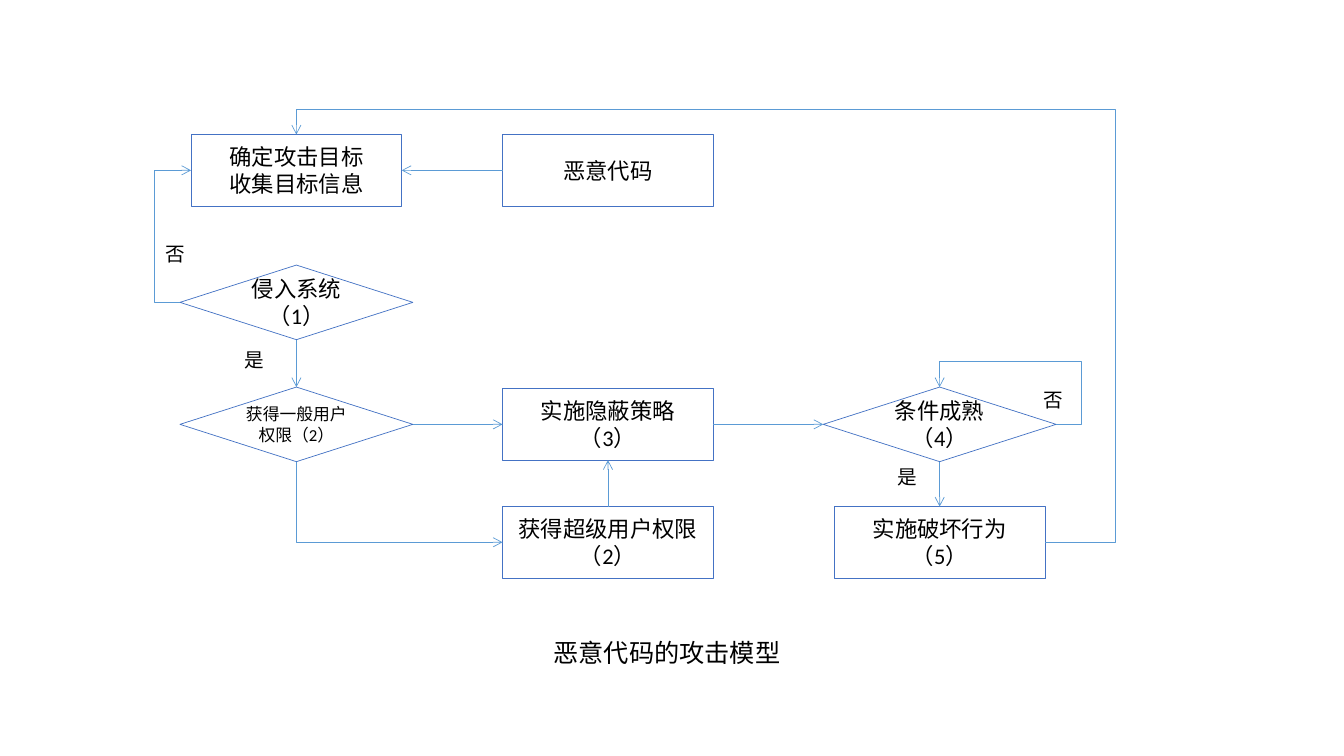
from dataclasses import dataclass

from lxml import etree
from pptx import Presentation
from pptx.dml.color import RGBColor
from pptx.enum.shapes import MSO_CONNECTOR, MSO_SHAPE
from pptx.enum.text import MSO_ANCHOR, MSO_AUTO_SIZE, PP_ALIGN
from pptx.oxml.ns import qn
from pptx.util import Inches, Pt

RECTANGLE, DIAMOND = MSO_SHAPE.RECTANGLE, MSO_SHAPE.DIAMOND
STRAIGHT, ELBOW = MSO_CONNECTOR.STRAIGHT, MSO_CONNECTOR.ELBOW
CENTER, LEFT_ALIGN = PP_ALIGN.CENTER, PP_ALIGN.LEFT
MIDDLE, TOP_ANCHOR = MSO_ANCHOR.MIDDLE, MSO_ANCHOR.TOP
NO_AUTOFIT, FIT_SHAPE = MSO_AUTO_SIZE.NONE, MSO_AUTO_SIZE.SHAPE_TO_FIT_TEXT
TOP, LEFT, BOTTOM, RIGHT = range(4)
TITLE_ONLY = 5

COLUMNS = (2.94, 6.03, 9.32)
ROWS = (1.69, 3.0, 4.21, 5.38)
SIZES = {RECTANGLE: (2.09, 0.71), DIAMOND: (2.31, 0.74)}
SIDE_MARGINS = {RECTANGLE: Inches(0.1), DIAMOND: Inches(0.05)}
LOOP_GAP = Inches(0.25)
RETURN_GAP = Inches(0.7)


@dataclass(frozen=True)
class Theme:
    """Colours, font and type sizes of the slide."""

    font: str = "Calibri"
    ink: RGBColor = RGBColor(0, 0, 0)
    paper: RGBColor = RGBColor(255, 255, 255)
    outline: RGBColor = RGBColor(0x44, 0x72, 0xC4)
    arrow: RGBColor = RGBColor(0x5B, 0x9B, 0xD5)
    line_width: Pt = Pt(0.5)
    step_size: Pt = Pt(16)
    long_step_size: Pt = Pt(12)
    label_size: Pt = Pt(14)
    title_size: Pt = Pt(18)


THEME = Theme()

STEPS = {
    "target": (RECTANGLE, 0, 0, "确定攻击目标\n收集目标信息"),
    "intrusion": (DIAMOND, 0, 1, "侵入系统（1）"),
    "user": (DIAMOND, 0, 2, "获得一般用户权限（2）", THEME.long_step_size),
    "stealth": (RECTANGLE, 1, 2, "实施隐蔽策略\n（3）"),
    "superuser": (RECTANGLE, 1, 3, "获得超级用户权限（2）"),
    "condition": (DIAMOND, 2, 2, "条件成熟\n（4）"),
    "damage": (RECTANGLE, 2, 3, "实施破坏行为\n（5）"),
    "malware": (RECTANGLE, 1, 0, "恶意代码"),
}
STRAIGHT_ARROWS = (
    ("malware", LEFT, "target", RIGHT),
    ("intrusion", BOTTOM, "user", TOP),
    ("user", RIGHT, "stealth", LEFT),
    ("superuser", TOP, "stealth", BOTTOM),
    ("stealth", RIGHT, "condition", LEFT),
    ("condition", BOTTOM, "damage", TOP),
)
BRANCH_LABELS = (
    ("否", 1.54, 2.35),
    ("是", 2.33, 3.4),
    ("否", 10.25, 3.8),
    ("是", 8.8, 4.56),
)


def write(shape, text, size, alignment):
    """Fill a shape with text in the theme's font."""
    shape.text_frame.text = text
    for paragraph in shape.text_frame.paragraphs:
        paragraph.alignment = alignment
        for run in paragraph.runs:
            run.font.name = THEME.font
            run.font.size = size
            run.font.color.rgb = THEME.ink


def add_step(slide, kind, column, row, text, size=THEME.step_size):
    """Draw a step or decision centred on a grid crossing."""
    width, height = SIZES[kind]
    left, top = COLUMNS[column] - width / 2, ROWS[row] - height / 2
    shape = slide.shapes.add_shape(
        kind, Inches(left), Inches(top), Inches(width), Inches(height))
    shape.shadow.inherit = False
    shape.fill.solid()
    shape.fill.fore_color.rgb = THEME.paper
    shape.line.color.rgb = THEME.outline
    shape.line.width = THEME.line_width
    frame = shape.text_frame
    frame.word_wrap = True
    frame.vertical_anchor = MIDDLE
    frame.margin_left = frame.margin_right = SIDE_MARGINS[kind]
    write(shape, text, size, CENTER)
    return shape


def add_arrow(slide, kind, start, start_side, end, end_side):
    """Join two steps with an arrow."""
    connector = slide.shapes.add_connector(kind, 0, 0, 0, 0)
    connector.begin_connect(start, start_side)
    connector.end_connect(end, end_side)
    connector.line.color.rgb = THEME.arrow
    connector.line.width = THEME.line_width
    properties = connector.element.spPr
    line = properties.find(qn("a:ln"))
    etree.SubElement(line, qn("a:tailEnd"), type="arrow")
    etree.SubElement(properties, qn("a:effectLst"))
    return connector


def bend(connector, preset, *adjustments):
    """Give an elbow its preset and the shares at which it turns."""
    geometry = connector.element.spPr.find(qn("a:prstGeom"))
    geometry.set("prst", preset)
    guides = geometry.get_or_add_avLst()
    for number, share in enumerate(adjustments, 1):
        etree.SubElement(guides, qn("a:gd"), name=f"adj{number}",
                         fmla=f"val {round(share * 100000)}")


def add_left_loop(slide, start, end):
    """Lead an arrow out to the left and back into a step's left side."""
    connector = add_arrow(slide, ELBOW, start, LEFT, end, LEFT)
    span = connector.end_x - connector.begin_x
    bend(connector, "bentConnector3", -LOOP_GAP / span)


def add_over_loop(slide, start, end, side_gap):
    """Lead an arrow out to the right and over the top of a step."""
    connector = add_arrow(slide, ELBOW, start, RIGHT, end, TOP)
    across = connector.begin_x - connector.end_x
    up = connector.begin_y - connector.end_y
    bend(connector, "bentConnector4", -side_gap / across, 1 + LOOP_GAP / up)


def add_down_then_right(slide, start, end):
    """Lead an arrow down and then right, as a quarter-turned elbow."""
    connector = add_arrow(slide, ELBOW, start, BOTTOM, end, LEFT)
    left, top = connector.begin_x, connector.begin_y
    across, down = connector.end_x - left, connector.end_y - top
    center_x, center_y = left + across // 2, top + down // 2
    connector.begin_x = center_x + down // 2
    connector.begin_y = center_y - across // 2
    connector.end_x = center_x - down // 2
    connector.end_y = center_y + across // 2
    connector.element.spPr.find(qn("a:xfrm")).set("rot", str(270 * 60000))
    bend(connector, "bentConnector2")


def add_label(slide, text, left, top):
    """Write a branch label beside its arrow."""
    box = slide.shapes.add_textbox(
        Inches(left), Inches(top), Inches(0.4), Inches(0.34))
    box.text_frame.word_wrap = False
    box.text_frame.auto_size = FIT_SHAPE
    write(box, text, THEME.label_size, LEFT_ALIGN)


def set_title(slide, text):
    """Place the slide title below the flow chart."""
    title = slide.shapes.title
    title.left, title.top = Inches(5.39), Inches(6.27)
    title.width, title.height = Inches(2.47), Inches(0.4)
    title.text_frame.word_wrap = False
    title.text_frame.auto_size = NO_AUTOFIT
    title.text_frame.vertical_anchor = TOP_ANCHOR
    write(title, text, THEME.title_size, LEFT_ALIGN)


def main():
    """Build and save the attack model slide."""
    presentation = Presentation()
    presentation.slide_width = Inches(13.33)
    presentation.slide_height = Inches(7.5)
    slide = presentation.slides.add_slide(presentation.slide_layouts[TITLE_ONLY])
    set_title(slide, "恶意代码的攻击模型")
    steps = {name: add_step(slide, *step) for name, step in STEPS.items()}
    for start, start_side, end, end_side in STRAIGHT_ARROWS:
        add_arrow(slide, STRAIGHT, steps[start], start_side, steps[end], end_side)
    add_left_loop(slide, steps["intrusion"], steps["target"])
    add_down_then_right(slide, steps["user"], steps["superuser"])
    add_over_loop(slide, steps["condition"], steps["condition"], LOOP_GAP)
    add_over_loop(slide, steps["damage"], steps["target"], RETURN_GAP)
    for label in BRANCH_LABELS:
        add_label(slide, *label)
    presentation.save("out.pptx")


if __name__ == "__main__":
    main()
